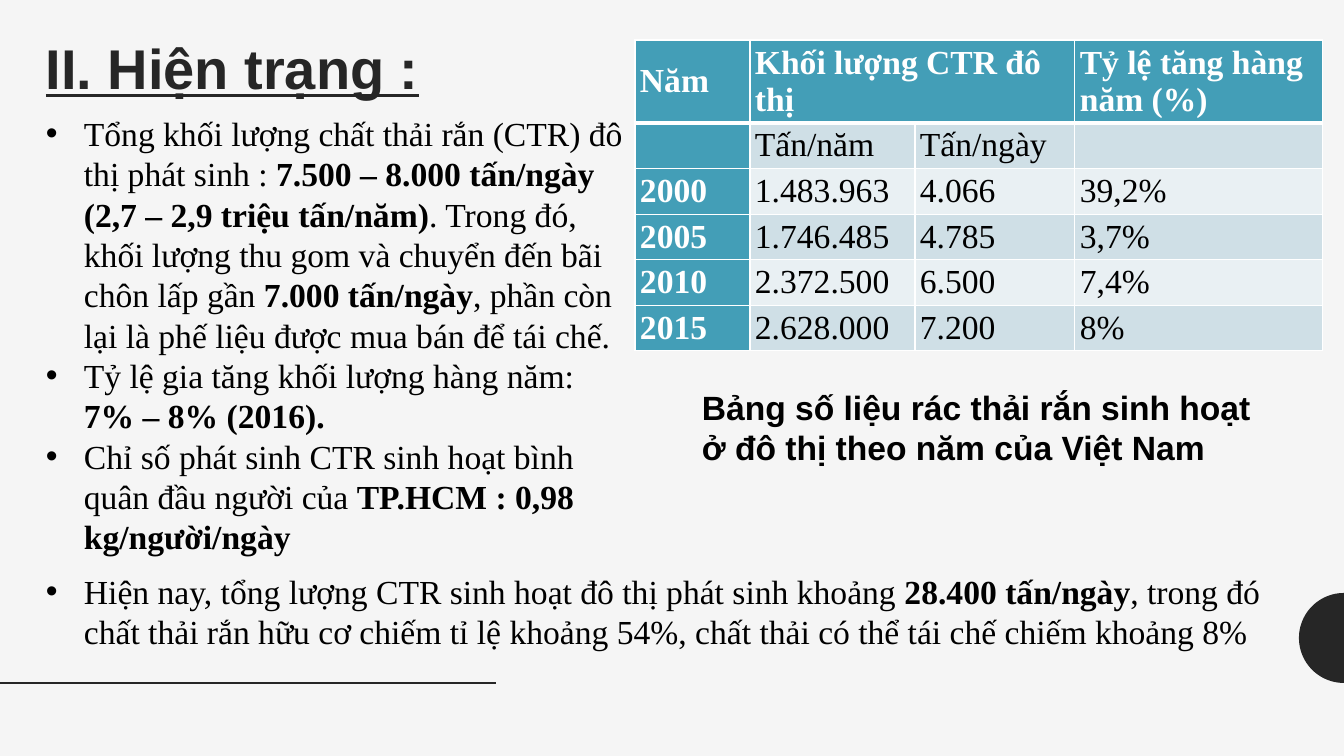
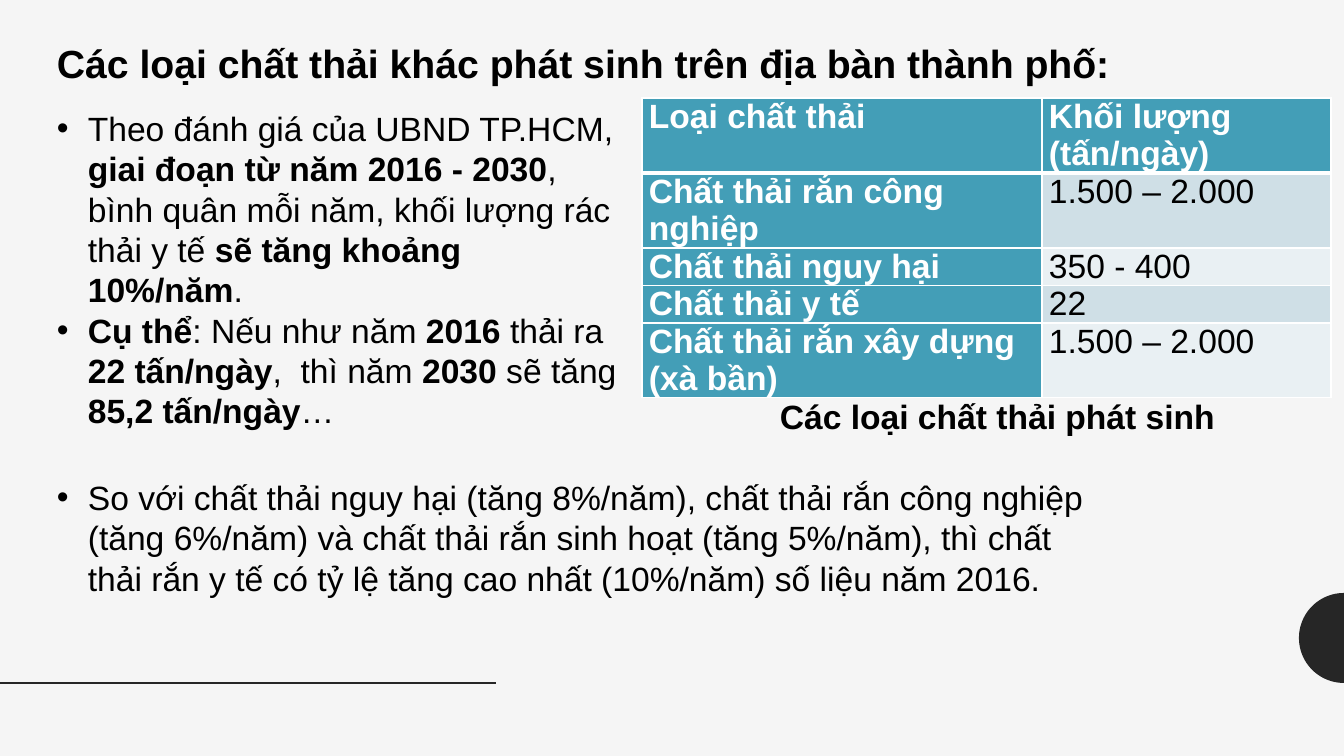
from math import cos, pi, sin

from lxml.etree import SubElement
from pptx import Presentation
from pptx.dml.color import RGBColor
from pptx.enum.shapes import MSO_CONNECTOR
from pptx.enum.text import MSO_ANCHOR as Anchor
from pptx.oxml.ns import qn
from pptx.util import Pt

PX = 914400 / 100.8  # EMU in one px
WIDTH, HEIGHT = 1344, 756

PAPER = RGBColor(0xF5, 0xF5, 0xF5)
DARK = RGBColor(0x26, 0x26, 0x26)
BLACK = RGBColor(0, 0, 0)
WHITE = RGBColor(0xFF, 0xFF, 0xFF)
TEAL = RGBColor(0x43, 0x9E, 0xB7)
BANDS = [RGBColor(0xCF, 0xDF, 0xE6), RGBColor(0xE9, 0xF0, 0xF3)]

SERIF, SANS = "Times New Roman", "Arial"
BODY_SIZE = 24
LINE_FACTOR = 1.2  # line height relative to text size

# Content: **...** marks bold; each text is a list of paragraphs
SLIDES = [
    {
        "texts": [
            dict(box=(36, 42, 599, 67), paragraphs=["**II. Hiện trạng :**"],
                 size=40, color=DARK, underline=True, factor=0.96),
            dict(box=(36, 108, 599, 458), font=SERIF, indent=38, paragraphs=[
                "Tổng khối lượng chất thải rắn (CTR) đô thị phát sinh : "
                "**7.500 – 8.000 tấn/ngày (2,7 – 2,9 triệu tấn/năm)**. Trong đó, "
                "khối lượng thu gom và chuyển đến bãi chôn lấp gần "
                "**7.000 tấn/ngày**, phần còn lại là phế liệu được mua bán để tái chế.",
                "Tỷ lệ gia tăng khối lượng hàng năm: **7% – 8% (2016).**",
                "Chỉ số phát sinh CTR sinh hoạt bình quân đầu người của "
                "**TP.HCM : 0,98 kg/người/ngày**",
            ]),
            dict(box=(692, 382, 599, 92), paragraphs=[
                "**Bảng số liệu rác thải rắn sinh hoạt ở đô thị theo năm của Việt Nam**"]),
            dict(box=(36, 566, 1254, 92), font=SERIF, indent=38, paragraphs=[
                "Hiện nay, tổng lượng CTR sinh hoạt đô thị phát sinh khoảng "
                "**28.400 tấn/ngày**, trong đó chất thải rắn hữu cơ chiếm tỉ lệ "
                "khoảng 54%, chất thải có thể tái chế chiếm khoảng 8%"]),
        ],
        "table": dict(
            corner=(635, 40), columns=[115, 165, 160, 248],
            heights=[83, 45, 46, 45, 46, 45], insets=(5, 4, 10, 4),
            font=SERIF, anchor=Anchor.MIDDLE, merged=[((0, 1), (0, 2))],
            rows=[
                ("Năm", "Khối lượng CTR đô thị", "", "Tỷ lệ tăng hàng năm (%)"),
                ("", "Tấn/năm", "Tấn/ngày", ""),
                ("2000", "1.483.963", "4.066", "39,2%"),
                ("2005", "1.746.485", "4.785", "3,7%"),
                ("2010", "2.372.500", "6.500", "7,4%"),
                ("2015", "2.628.000", "7.200", "8%"),
            ]),
    },
    {
        "texts": [
            dict(box=(47, 34, 1137, 57), size=28, anchor=Anchor.MIDDLE, paragraphs=[
                "**Các loại chất thải khác phát sinh trên địa bàn thành phố:**"]),
            dict(box=(47, 103, 584, 336), indent=31, paragraphs=[
                "Theo đánh giá của UBND TP.HCM, **giai đoạn từ năm 2016 - 2030**, "
                "bình quân mỗi năm, khối lượng rác thải y tế "
                "**sẽ tăng khoảng 10%/năm**.",
                "**Cụ thể**: Nếu như năm **2016** thải ra **22 tấn/ngày**,  thì năm "
                "**2030** sẽ tăng **85,2 tấn/ngày**…",
            ]),
            dict(box=(770, 391, 459, 50), paragraphs=["**Các loại chất thải phát sinh**"]),
            dict(box=(47, 472, 1074, 132), indent=31, paragraphs=[
                "So với chất thải nguy hại (tăng 8%/năm), chất thải rắn công nghiệp "
                "(tăng 6%/năm) và chất thải rắn sinh hoạt (tăng 5%/năm), thì chất "
                "thải rắn y tế có tỷ lệ tăng cao nhất (10%/năm) số liệu năm 2016."]),
        ],
        "table": dict(
            corner=(642, 98), columns=[400, 289],
            heights=[75, 75, 37, 37, 75], insets=(7, 0, 7, 0),
            font=SANS, anchor=Anchor.TOP, merged=[],
            rows=[
                ("Loại chất thải", "Khối lượng (tấn/ngày)"),
                ("Chất thải rắn công nghiệp", "1.500 – 2.000"),
                ("Chất thải nguy hại", "350 - 400"),
                ("Chất thải y tế", "22"),
                ("Chất thải rắn xây dựng\n(xà bần)", "1.500 – 2.000"),
            ]),
    },
]


def px(*lengths):
    return [round(length * PX) for length in lengths]


def style(run, size, font, color, bold, underline=False):
    run.font.size, run.font.name = Pt(size), font
    run.font.color.rgb = color
    run.font.bold = bold
    if underline:
        run.font.underline = True


def add_bullet(paragraph, indent):
    properties = paragraph._p.get_or_add_pPr()
    hang, = px(indent)
    properties.set("marL", str(hang))
    properties.set("indent", str(-hang))
    SubElement(properties, qn("a:buFont"), typeface=SANS)
    SubElement(properties, qn("a:buChar"), char="•")


def add_text(slide, box, paragraphs, size=BODY_SIZE, font=SANS, color=BLACK,
             indent=0, underline=False, factor=LINE_FACTOR, anchor=Anchor.TOP):
    frame = slide.shapes.add_textbox(*px(*box)).text_frame
    frame.word_wrap = True
    frame.vertical_anchor = anchor
    for i, text in enumerate(paragraphs):
        paragraph = frame.add_paragraph() if i else frame.paragraphs[0]
        if indent:
            add_bullet(paragraph, indent)
        paragraph.line_spacing = Pt(size * factor)
        for j, part in enumerate(text.split("**")):
            if part:
                run = paragraph.add_run()
                run.text = part
                style(run, size, font, color, j % 2 == 1, underline)


def add_borders(cell, widths):
    properties = cell._tc.get_or_add_tcPr()
    for side, width in widths.items():
        line = SubElement(properties, qn(f"a:ln{side}"), w=str(Pt(width)))
        fill = SubElement(line, qn("a:solidFill"))
        SubElement(fill, qn("a:srgbClr"), val=str(WHITE))


def add_table(slide, corner, columns, heights, insets, font, anchor, merged, rows):
    table = slide.shapes.add_table(
        len(rows), len(columns), *px(*corner, sum(columns), sum(heights))).table
    for column, width in zip(table.columns, px(*columns)):
        column.width = width
    for row, height in zip(table.rows, px(*heights)):
        row.height = height
    for r, values in enumerate(rows):
        for c, value in enumerate(values):
            cell = table.cell(r, c)
            (cell.margin_left, cell.margin_top,
             cell.margin_right, cell.margin_bottom) = px(*insets)
            cell.vertical_anchor = anchor
            # The header's lower edge is thicker
            add_borders(cell, {"L": 1, "R": 1, "T": 3 if r == 1 else 1,
                               "B": 3 if r == 0 else 1})
            heading = r == 0 or c == 0
            cell.fill.solid()
            cell.fill.fore_color.rgb = TEAL if heading else BANDS[(r - 1) % 2]
            for i, text in enumerate(value.split("\n") if value else []):
                frame = cell.text_frame
                paragraph = frame.add_paragraph() if i else frame.paragraphs[0]
                run = paragraph.add_run()
                run.text = text
                style(run, BODY_SIZE, font, WHITE if heading else BLACK, heading)
    for first, last in merged:
        table.cell(*first).merge(table.cell(*last))


def add_decoration(slide):
    # Half disc on the right edge
    middle, radius, steps = 638, 45, 48
    arc = [(WIDTH - radius * sin(pi * i / steps), middle - radius * cos(pi * i / steps))
           for i in range(steps + 1)]
    points = [tuple(px(x, y)) for x, y in arc]
    builder = slide.shapes.build_freeform(*points[0])
    builder.add_line_segments(points[1:], close=True)
    disc = builder.convert_to_shape()
    disc.shadow.inherit = False
    disc.fill.solid()
    disc.fill.fore_color.rgb = DARK
    disc.line.fill.background()
    # Footer rule
    rule = slide.shapes.add_connector(MSO_CONNECTOR.STRAIGHT, *px(0, 683, 496, 683))
    rule.line.color.rgb = DARK
    rule.line.width = Pt(2)
    SubElement(rule._element.spPr, qn("a:effectLst"))


def main():
    deck = Presentation()
    deck.slide_width, deck.slide_height = px(WIDTH, HEIGHT)
    background = deck.slide_master.background.fill
    background.solid()
    background.fore_color.rgb = PAPER
    for content in SLIDES:
        slide = deck.slides.add_slide(deck.slide_layouts[6])
        add_decoration(slide)
        add_table(slide, **content["table"])
        for text in content["texts"]:
            add_text(slide, **text)
    deck.save("out.pptx")


if __name__ == "__main__":
    main()
